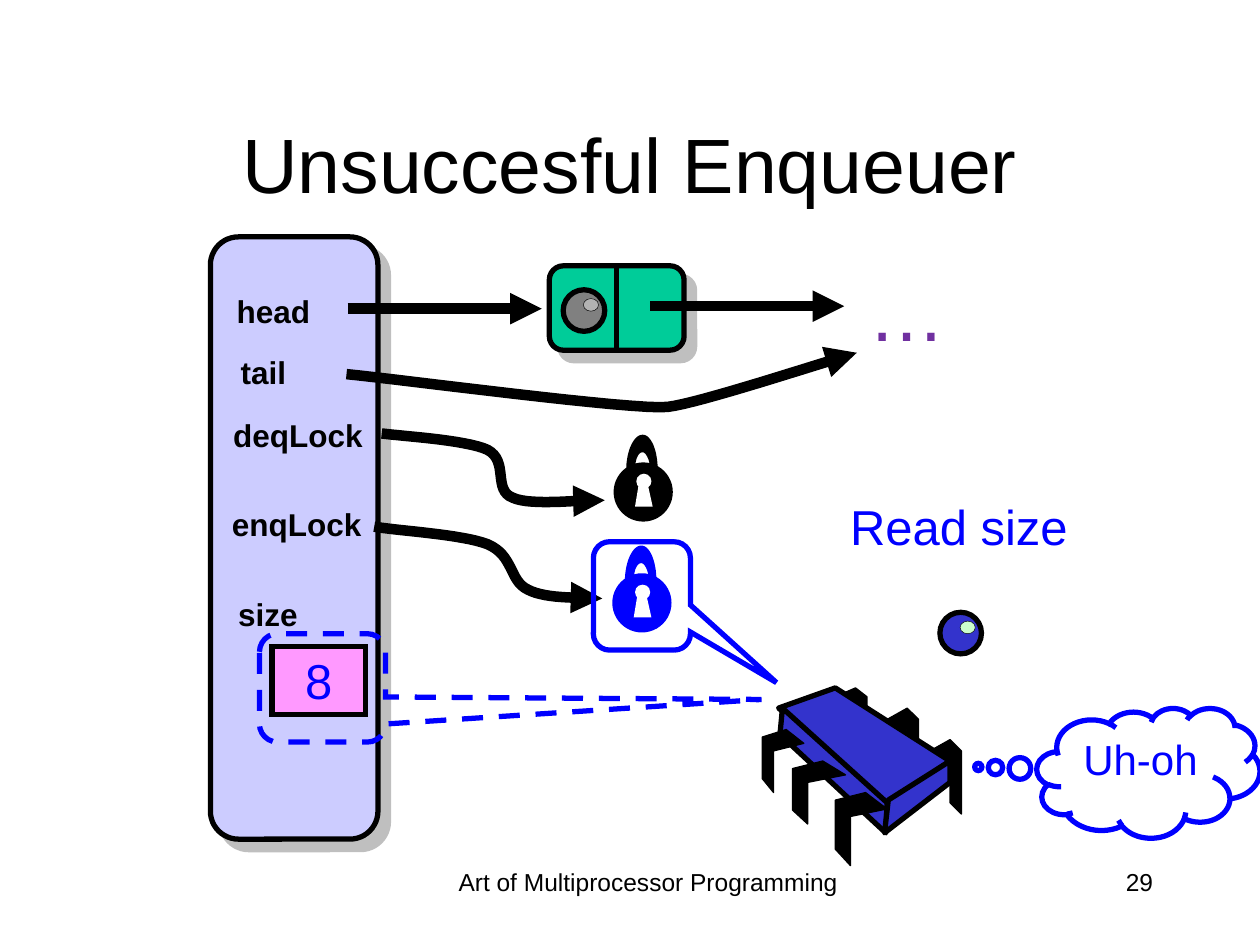
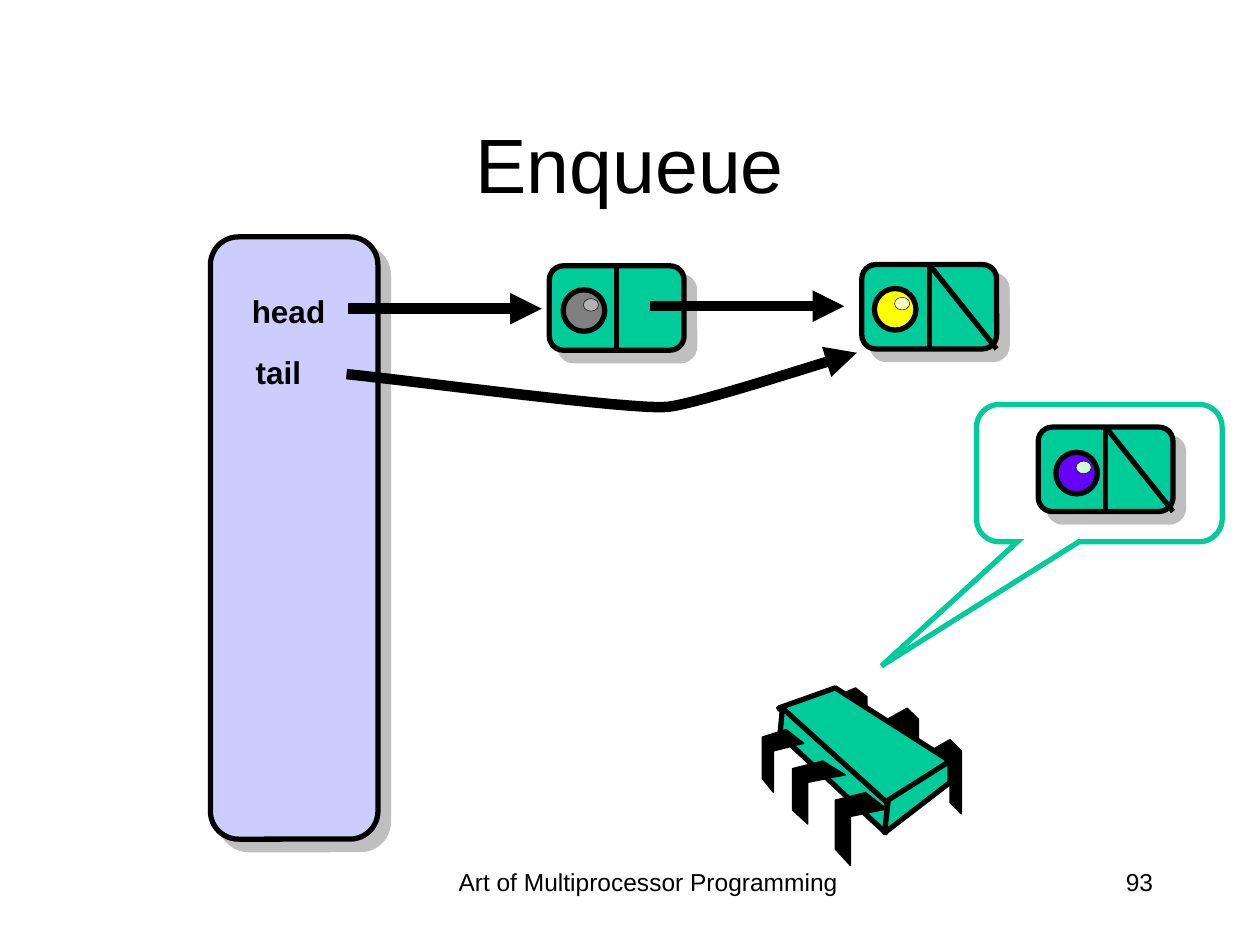
"""Builds two slides on a lock-based queue: a failed enqueue and an enqueue."""
from dataclasses import dataclass
from typing import Any, Optional

from lxml.etree import SubElement
from pptx import Presentation
from pptx.dml.color import RGBColor as Rgb
from pptx.enum.dml import MSO_LINE as Dash
from pptx.enum.shapes import MSO_CONNECTOR as Link, MSO_SHAPE as Kind
from pptx.enum.text import MSO_ANCHOR as Anchor, MSO_AUTO_SIZE as Fit, PP_ALIGN as Align
from pptx.oxml.ns import qn
from pptx.util import Cm, Pt

Point = tuple[float, float]
Box = tuple[float, float, float, float]

HUES = {
    "black": "000000", "white": "FFFFFF", "panel": "CCCCFF", "green": "00CC99",
    "blue": "0000FF", "chip": "3333CC", "pink": "FF99FF", "purple": "7030A0",
    "violet": "6600FF", "gray": "808080", "silver": "B2B2B2",
    "yellow": "FFFF00", "cream": "FFFFCC", "mint": "CCFFCC",
}
FONT = "Arial"
ROUND = 0.167
NODE_W, NODE_H = 1.07, 0.67

BACK_LEG = [(0, 0.09), (0.16, 0), (0.25, 0.09), (0.25, 0.59), (0.16, 0.5),
            (0.16, 0.17), (0, 0.25)]
BACK_LEGS = [
    [(7.38 + x, 5.87 + y) for x, y in BACK_LEG],
    [(7.04 + x, 5.62 + y) for x, y in BACK_LEG],
    [(6.63, 5.53), (6.79, 5.46), (6.88, 5.53), (6.88, 5.96), (6.79, 5.88),
     (6.79, 5.6), (6.63, 5.67)],
]
FACES = [
    [(6.63, 5.46), (7.54, 6.04), (7.03, 6.39), (6.18, 5.62)],
    [(6.21, 5.62), (7.04, 6.37), (7.03, 6.61), (6.19, 5.83)],
    [(7.54, 6.04), (7.54, 6.21), (7.02, 6.61), (7.05, 6.35)],
]
FRONT_LEGS = [
    [(6.87, 6.29), (7.04, 6.42), (6.75, 6.48), (6.75, 6.87), (6.63, 6.74), (6.63, 6.35)],
    [(6.53, 6.04), (6.71, 6.15), (6.41, 6.21), (6.41, 6.54), (6.29, 6.43), (6.29, 6.1)],
    [(6.24, 5.79), (6.38, 5.9), (6.14, 5.96), (6.14, 6.29), (6.05, 6.18), (6.05, 5.85)],
]
TAIL_PATH = [(2.75, 2.97), (3.17, 3.01), (5.04, 3.26), (5.3, 3.23),
             (5.55, 3.2), (6.49, 2.89), (6.8, 2.8)]
DEQ_PATH = [(3.03, 3.44), (3.17, 3.46), (3.7, 3.49), (3.87, 3.57), (4.04, 3.66),
            (3.91, 3.89), (4.07, 3.95), (4.22, 4.02), (4.65, 3.96), (4.8, 3.97)]
ENQ_PATH = [(2.97, 4.18), (3.12, 4.21), (3.67, 4.24), (3.87, 4.32), (4.08, 4.41),
            (4.04, 4.61), (4.19, 4.68), (4.34, 4.76), (4.65, 4.74), (4.78, 4.75)]
KEYHOLE = [(0.17, 0.35), (0.2, 0.17), (0.27, 0.17), (0.31, 0.35)]
INNER_ARC = [(0.17, 0.06), (0.17, -0.01), (0.19, -0.08), (0.23, -0.08),
             (0.26, -0.08), (0.29, -0.01), (0.29, 0.06)]
OUTER_ARC = [(0.35, 0.06), (0.35, -0.09), (0.3, -0.22), (0.23, -0.22),
             (0.16, -0.22), (0.1, -0.09), (0.1, 0.06)]


@dataclass(frozen=True)
class Look:
    fill: Optional[str] = None
    line: Optional[str] = "black"
    width: float = 3
    dash: bool = False
    shade: bool = False


@dataclass(frozen=True)
class Label:
    text: str
    box: Box
    size: int = 18
    hue: str = "black"
    bold: bool = False
    wrap: bool = False
    align: Any = Align.CENTER


@dataclass(frozen=True)
class Ball:
    x: float
    y: float
    hue: str
    glint: str


def span(value: float) -> Cm:
    return Cm(value * 2.54)


def tint(name: str) -> Rgb:
    return Rgb.from_string(HUES[name])


def dress(shape: Any, look: Look) -> Any:
    shape.shadow.inherit = False
    shape.line.width = Pt(look.width)
    for part, hue in ((shape.fill, look.fill), (shape.line.fill, look.line)):
        if hue:
            part.solid()
            part.fore_color.rgb = tint(hue)
        else:
            part.background()
    if look.dash:
        shape.line.dash_style = Dash.DASH
    if look.shade:
        effects = shape._element.spPr.find(qn("a:effectLst"))
        outer = SubElement(effects, qn("a:outerShdw"), dist=str(Pt(8.5)),
                           dir=str(45 * 60000), algn="ctr", rotWithShape="0")
        gray = SubElement(outer, qn("a:srgbClr"), val=HUES["gray"])
        SubElement(gray, qn("a:alpha"), val="50000")
    return shape


def add_box(on: Any, kind: Any, box: Box, look: Look, *bends: float) -> Any:
    shape = on.add_shape(kind, *map(span, box))
    for i, bend in enumerate(bends):
        shape.adjustments[i] = bend
    dress(shape, look)
    SubElement(shape._element.spPr.find(qn("a:ln")), qn("a:miter"), lim="800000")
    return shape


def add_path(on: Any, points: list[Point], look: Look, close: bool = True) -> Any:
    spots = [(span(x), span(y)) for x, y in points]
    pen = on.build_freeform(*spots[0], scale=1.0)
    pen.add_line_segments(spots[1:], close=close)
    return dress(pen.convert_to_shape(), look)


def curve(knots: list[Point], steps: int = 16) -> list[Point]:
    points = [knots[0]]
    for i in range(0, len(knots) - 1, 3):
        a, b, c, d = knots[i:i + 4]
        for step in range(1, steps + 1):
            t = step / steps
            u = 1 - t
            points.append(tuple(
                u**3 * p + 3 * u * u * t * q + 3 * u * t * t * r + t**3 * s
                for p, q, r, s in zip(a, b, c, d)))
    return points


def add_head(shape: Any) -> None:
    line = shape._element.spPr.find(qn("a:ln"))
    SubElement(line, qn("a:tailEnd"), type="triangle")


def add_line(on: Any, start: Point, end: Point, width: float = 3) -> Any:
    line = on.add_connector(Link.STRAIGHT, *map(span, start + end))
    line.line.color.rgb = tint("black")
    line.line.width = Pt(width)
    SubElement(line._element.spPr, qn("a:effectLst"))
    return line


def add_arrow(on: Any, start: Point, end: Point) -> None:
    add_head(add_line(on, start, end, 6))


def add_bend(on: Any, knots: list[Point]) -> None:
    add_head(add_path(on, curve(knots), Look(width=6), close=False))


def write(shape: Any, label: Label, anchor: Any = Anchor.TOP) -> None:
    frame = shape.text_frame
    frame.word_wrap = label.wrap
    frame.vertical_anchor = anchor
    line = frame.paragraphs[0]
    line.alignment = label.align
    run = line.add_run()
    run.text = label.text
    run.font.name = FONT
    run.font.size = Pt(label.size)
    run.font.bold = label.bold
    run.font.color.rgb = tint(label.hue)


def add_label(on: Any, label: Label) -> None:
    shape = on.add_textbox(*map(span, label.box))
    write(shape, label)
    if not label.wrap:
        shape.text_frame.auto_size = Fit.SHAPE_TO_FIT_TEXT


def add_ball(on: Any, ball: Ball) -> None:
    group = on.add_group_shape().shapes
    add_box(group, Kind.OVAL, (ball.x, ball.y, 0.33, 0.33), Look(ball.hue))
    add_box(group, Kind.OVAL, (ball.x + 0.16, ball.y + 0.07, 0.12, 0.1),
            Look(ball.glint, width=0.25))


def add_node(on: Any, x: float, y: float, ball: Ball, last: bool = False) -> None:
    mid, end = x + NODE_W / 2, y + NODE_H
    group = on.add_group_shape().shapes
    body = add_box(group, Kind.ROUNDED_RECTANGLE, (x, y, NODE_W, NODE_H),
                   Look("green", shade=True), ROUND)
    split = add_line(group, (mid, y), (mid, end))
    split.begin_connect(body, 0)
    split.end_connect(body, 2)
    if last:
        add_line(on, (mid, y), (x + NODE_W, end))
    add_ball(on, ball)


def add_lock(on: Any, x: float, y: float, hue: str) -> None:
    group = on.add_group_shape().shapes
    solid, hole = Look(hue, None), Look("white", None)
    add_box(group, Kind.OVAL, (x, y, 0.47, 0.47), solid)
    add_box(group, Kind.OVAL, (x + 0.18, y + 0.09, 0.12, 0.12), hole)
    for points, look in ((KEYHOLE, hole), (curve(INNER_ARC) + curve(OUTER_ARC), solid)):
        add_path(group, [(x + dx, y + dy) for dx, dy in points], look)


def add_chip(on: Any, hue: str) -> None:
    group = on.add_group_shape().shapes
    leg = Look("black", width=0.75)
    for parts, look in ((BACK_LEGS, leg), (FACES, Look(hue)), (FRONT_LEGS, leg)):
        for points in parts:
            add_path(group, points, look)


def start(deck: Any, title: str, page: int, shift: float) -> Any:
    on = deck.slides.add_slide(deck.slide_layouts[5]).shapes
    head, label = on.title, Label(title, (0.75, 0.67, 8.5, 1.25), 44, wrap=True)
    head.left, head.top, head.width, head.height = map(span, label.box)
    write(head, label, Anchor.MIDDLE)
    add_label(on, Label("Art of Multiprocessor Programming", (3.42, 6.83, 3.45, 0.5),
                        14, wrap=True))
    add_label(on, Label(str(page), (7.17, 6.83, 2.08, 0.5), 14, wrap=True,
                        align=Align.RIGHT))
    add_box(on, Kind.ROUNDED_RECTANGLE, (1.67, 1.88, 1.33, 4.78),
            Look("panel", shade=True), ROUND)
    add_arrow(on, (2.76, 2.45), (4.3, 2.45))
    add_node(on, 4.36, 2.11, Ball(4.47, 2.3, "gray", "silver"))
    add_label(on, Label("head", (1.76 + shift, 2.27, 0.82, 0.4), bold=True))
    add_label(on, Label("tail", (1.79 + shift, 2.75, 0.6, 0.4), bold=True))
    add_arrow(on, (5.16, 2.43), (6.7, 2.43))
    add_bend(on, TAIL_PATH)
    return on


def draw_full(deck: Any) -> None:
    on = start(deck, "Unsuccesful Enqueuer", 29, 0)
    for text, box in (("deqLock", (1.74, 3.25, 1.25, 0.4)),
                      ("enqLock", (1.73, 3.96, 1.25, 0.4)),
                      ("size", (1.78, 4.67, 0.69, 0.4))):
        add_label(on, Label(text, box, bold=True))
    add_bend(on, DEQ_PATH)
    add_lock(on, 4.86, 4.55, "blue")
    add_bend(on, ENQ_PATH)
    add_box(on, Kind.ROUNDED_RECTANGULAR_CALLOUT, (4.71, 4.3, 0.77, 0.86),
            Look(line="blue"), 1.387, 0.8, ROUND)
    count = Label("8", (2.16, 5.13, 0.74, 0.54), 28, "blue")
    write(add_box(on, Kind.RECTANGLE, count.box, Look("pink")), count, Anchor.MIDDLE)
    add_box(on, Kind.ROUNDED_RECTANGULAR_CALLOUT, (2.06, 5.03, 1, 0.86),
            Look(line="blue", dash=True), 3.484, 0.107, ROUND)
    thought = Label("Uh-oh", (8.23, 5.62, 1.77, 1.03), 24, "blue", wrap=True)
    write(add_box(on, Kind.CLOUD_CALLOUT, thought.box, Look(line="blue"),
                  -0.763, -0.046), thought)
    add_label(on, Label("Read size", (5.76, 3.89, 3.7, 0.57), 28, "blue", wrap=True))
    add_ball(on, Ball(7.46, 4.86, "chip", "mint"))
    add_chip(on, "chip")
    add_lock(on, 4.87, 3.67, "black")
    add_label(on, Label("…", (6.79, 2.05, 0.81, 0.84), 44, "purple", align=Align.RIGHT))


def draw_add(deck: Any) -> None:
    on = start(deck, "Enqueue", 93, 0.12)
    add_node(on, 6.84, 2.1, Ball(6.94, 2.29, "yellow", "cream"), True)
    add_chip(on, "green")
    add_box(on, Kind.ROUNDED_RECTANGULAR_CALLOUT, (7.75, 3.21, 1.95, 1.09),
            Look(line="green"), -0.887, 1.404, ROUND)
    add_node(on, 8.24, 3.39, Ball(8.38, 3.59, "violet", "mint"), True)


show = Presentation()
show.slide_width, show.slide_height = Cm(25.4), Cm(19.05)
draw_full(show)
draw_add(show)
show.save("out.pptx")
